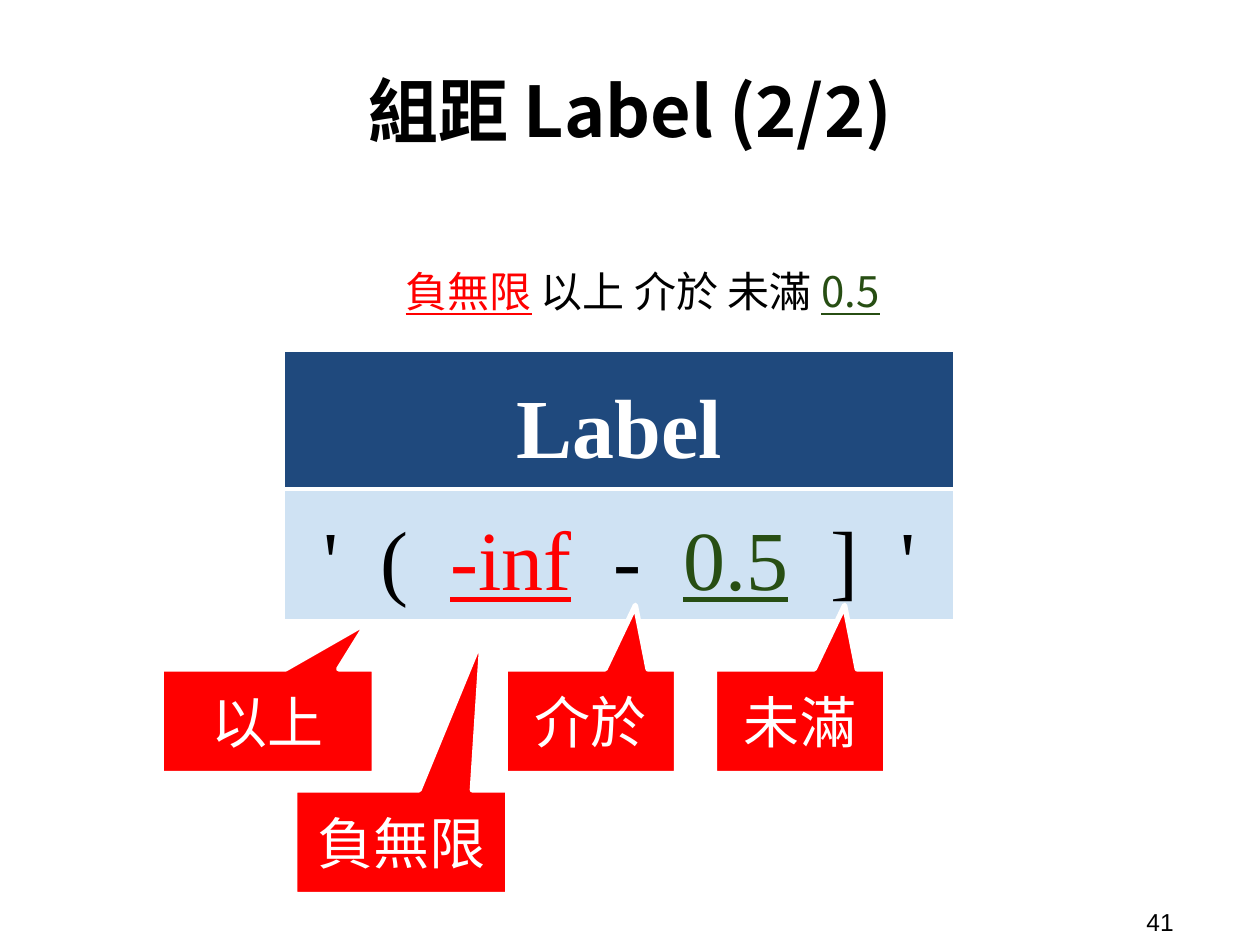
import pptx
import pptx.util
import pptx.dml.color
import pptx.enum.text
import pptx.enum.shapes
import pptx.oxml
import pptx.oxml.ns
import lxml.etree

Inches = pptx.util.Inches
Align = pptx.enum.text.PP_ALIGN
Anchor = pptx.enum.text.MSO_ANCHOR
CJK = "Noto Sans CJK TC"
SERIF = "Times New Roman"
RED, GREEN, BLACK, WHITE = "FF0000", "274E13", "000000", "FFFFFF"


def tint(code):
    return pptx.dml.color.RGBColor.from_string(code)


def box(*sides):
    return [Inches(side) for side in sides]


def write(frame, text, size=32, font="Arial", color=BLACK, bold=False,
          align=Align.CENTER, space=None):
    runs = [(text, color)] if isinstance(text, str) else text
    para = frame.paragraphs[0]
    para.alignment = align
    if space:
        para.line_spacing = space
    for words, hue in runs:
        run = para.add_run()
        run.text = words
        run.font.size = pptx.util.Pt(size)
        run.font.name = font
        run.font.bold = bold
        run.font.underline = hue in (RED, GREEN)
        run.font.color.rgb = tint(hue)
        east = lxml.etree.SubElement(run.font._element, pptx.oxml.ns.qn("a:ea"))
        east.set("typeface", CJK)
    return para


class Deck:
    """Holds the deck style and the current slide."""

    def __init__(self):
        self.show = pptx.Presentation()
        self.show.slide_width, self.show.slide_height = box(10, 7.5)
        self.slide = self.show.slides.add_slide(self.show.slide_layouts[5])
        self.shapes = self.slide.shapes

    def frame(self, shape, anchor=Anchor.MIDDLE, pad=0.1):
        frame = shape.text_frame
        frame.word_wrap = True
        frame.auto_size = pptx.enum.text.MSO_AUTO_SIZE.NONE
        frame.vertical_anchor = anchor
        frame.margin_left = frame.margin_right = Inches(0.1)
        frame.margin_top = frame.margin_bottom = Inches(pad)
        return frame

    def title(self, text, *place):
        shape = self.shapes.title
        shape.left, shape.top, shape.width, shape.height = box(*place)
        write(self.frame(shape), text, size=40, font=CJK, bold=True)

    def text(self, text, *place, anchor=Anchor.MIDDLE, pad=0.1, **style):
        shape = self.shapes.add_textbox(*box(*place))
        return write(self.frame(shape, anchor, pad), text, **style)

    def table(self, rows, left, top, width, heights):
        table = self.shapes.add_table(
            len(rows), 1, *box(left, top, width, sum(heights))).table
        for row, (text, fill, style) in enumerate(rows):
            table.rows[row].height = Inches(heights[row])
            cell = table.cell(row, 0)
            cell.margin_left = cell.margin_right = Inches(0.1)
            cell.margin_top = cell.margin_bottom = Inches(0.1)
            cell.fill.solid()
            cell.fill.fore_color.rgb = tint(fill)
            self.edge(cell)
            write(cell.text_frame, text, size=48, font=SERIF, **style)

    def edge(self, cell):
        props = cell._tc.get_or_add_tcPr()
        for spot, side in enumerate("LRTB"):
            props.insert(spot, pptx.oxml.parse_xml(
                f'<a:ln{side} {pptx.oxml.ns.nsdecls("a")} w="{pptx.util.Pt(2.25)}">'
                f'<a:solidFill><a:srgbClr val="{WHITE}"/></a:solidFill></a:ln{side}>'))

    def callout(self, text, left, top, width, tip):
        kind = pptx.enum.shapes.MSO_SHAPE.ROUNDED_RECTANGULAR_CALLOUT
        shape = self.shapes.add_shape(kind, *box(left, top, width, 0.83))
        for spot, value in enumerate((*tip, 0)):
            shape.adjustments[spot] = value
        shape.shadow.inherit = False
        shape.fill.solid()
        shape.fill.fore_color.rgb = tint(RED)
        shape.line.color.rgb = tint(WHITE)
        shape.line.width = pptx.util.Pt(3)
        write(self.frame(shape), text, color=WHITE)


def main():
    deck = Deck()
    deck.title("組距 Label (2/2)", 0.52, 0.19, 8.96, 1.36)

    phrase = [("負無限", RED), (" 以上 介於 未滿 ", BLACK), ("0.5", GREEN)]
    para = deck.text(phrase, 0.52, 1.95, 8.96, 0.75, anchor=Anchor.TOP,
                     size=24, font=CJK, space=1.15)
    props = para._p.get_or_add_pPr()
    props.set("marL", str(Inches(0.38)))
    props.set("indent", str(Inches(-0.18)))

    deck.text("41", 9, 7.17, 0.92, 0.29, pad=0.05, size=14, align=Align.LEFT)

    label = [("'  (  ", BLACK), ("-inf", RED), ("  -  ", BLACK),
             ("0.5", GREEN), ("  ]  '", BLACK)]
    deck.table([("Label", "1F497D", dict(color=WHITE, bold=True, space=1.22)),
                (label, "CFE2F3", dict(space=1.15))],
               2.25, 2.78, 5.33, (1.09, 1.04))

    for note in (("以上", 1.28, 5.31, 1.69, (0.47, -0.95)),
                 ("負無限", 2.34, 6.27, 1.69, (0.38, -1.97)),
                 ("介於", 4.01, 5.31, 1.36, (0.26, -1.11)),
                 ("未滿", 5.67, 5.31, 1.36, (0.26, -1.11))):
        deck.callout(*note)
    deck.show.save("out.pptx")


if __name__ == "__main__":
    main()
